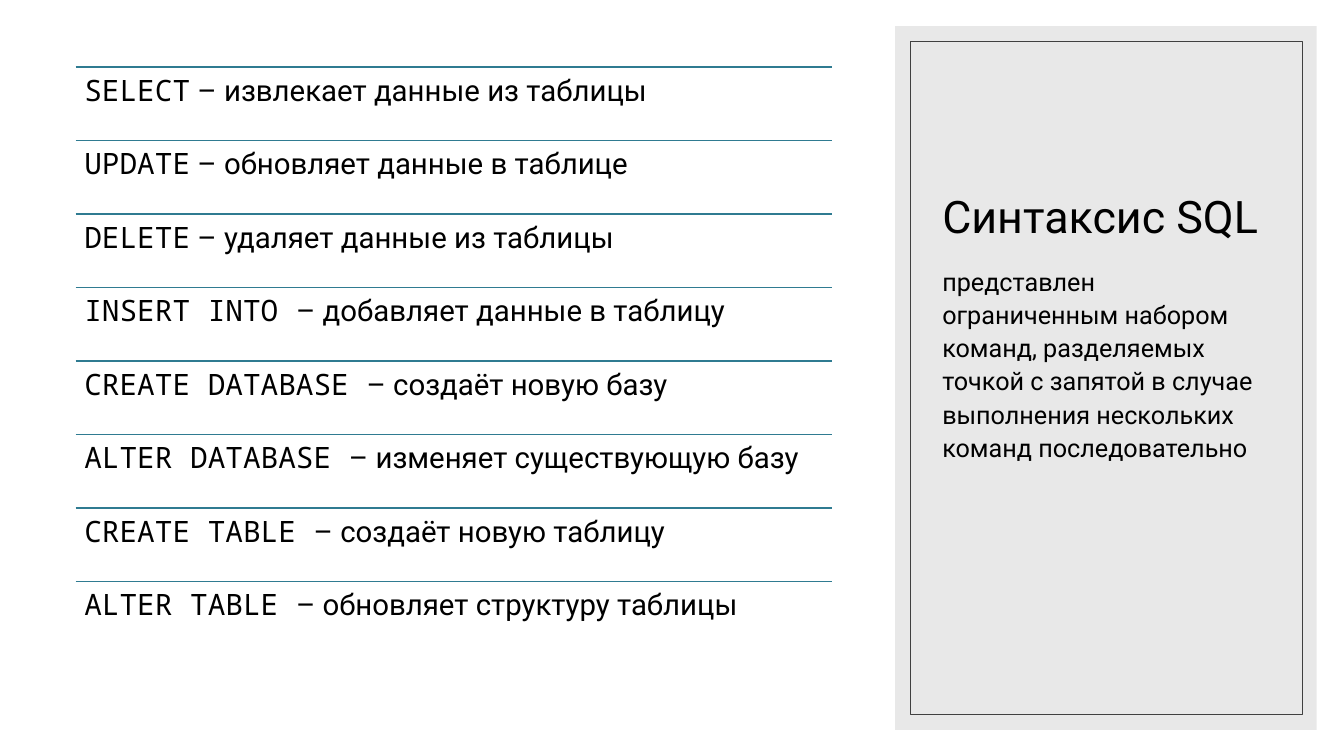
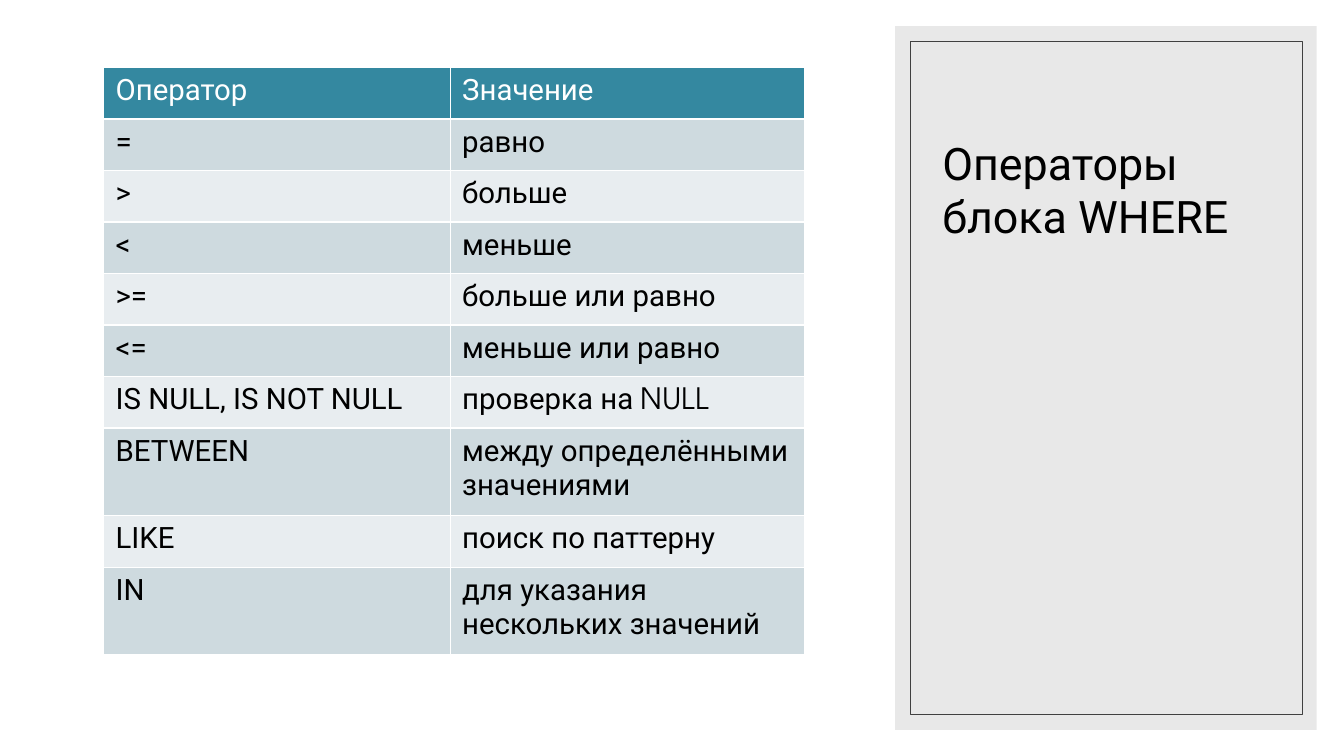
"""Build two slides about SQL: its main commands and the operators of WHERE."""
from lxml import etree
from pptx import Presentation
from pptx.dml.color import RGBColor
from pptx.enum.shapes import MSO_CONNECTOR, MSO_SHAPE
from pptx.enum.text import MSO_ANCHOR
from pptx.oxml.ns import qn
from pptx.util import Pt

RECTANGLE = MSO_SHAPE.RECTANGLE
STRAIGHT = MSO_CONNECTOR.STRAIGHT
TOP, BOTTOM = MSO_ANCHOR.TOP, MSO_ANCHOR.BOTTOM

BLACK = RGBColor(0x00, 0x00, 0x00)
WHITE = RGBColor(0xFF, 0xFF, 0xFF)
PANEL_GREY = RGBColor(0xD9, 0xD9, 0xD9)
FRAME_GREY = RGBColor(0x40, 0x40, 0x40)
RULE_TEAL = RGBColor(0x2F, 0x7B, 0x91)
HEADER_TEAL = RGBColor(0x34, 0x88, 0xA0)
BAND_DARK = RGBColor(0xCE, 0xDA, 0xDF)
BAND_LIGHT = RGBColor(0xE8, 0xED, 0xF0)

SANS = "Roboto"
MONO = "Noto Sans Mono"
GEOMETRIC = "TeX Gyre Adventor"

TITLE_SIZE, BODY_SIZE, CONTENT_SIZE = 32, 18, 21
PANEL_TEXT_LEFT, PANEL_TEXT_WIDTH = 666, 249

TITLES = ["Синтаксис SQL", "Операторы блока WHERE"]
SUBTITLE = (
    "представлен ограниченным набором команд, разделяемых точкой с запятой "
    "в случае выполнения нескольких команд последовательно"
)
COMMANDS = [
    ("SELECT", " – извлекает данные из таблицы"),
    ("UPDATE", " – обновляет данные в таблице"),
    ("DELETE", " – удаляет данные из таблицы"),
    ("INSERT INTO ", "– добавляет данные в таблицу"),
    ("CREATE DATABASE ", "– создаёт новую базу"),
    ("ALTER DATABASE ", "– изменяет существующую базу"),
    ("CREATE TABLE ", "– создаёт новую таблицу"),
    ("ALTER TABLE ", "– обновляет структуру таблицы"),
]
OPERATORS = [
    ("Оператор", [("Значение", SANS)]),
    ("=", [("равно", SANS)]),
    (">", [("больше", SANS)]),
    ("<", [("меньше", SANS)]),
    (">=", [("больше или равно", SANS)]),
    ("<=", [("меньше или равно", SANS)]),
    ("IS NULL, IS NOT NULL", [("проверка на ", SANS), ("NULL", GEOMETRIC)]),
    ("BETWEEN", [("между определёнными значениями", SANS)]),
    ("LIKE", [("поиск по паттерну", SANS)]),
    ("IN", [("для указания нескольких значений", SANS)]),
]
COMMANDS_LEFT, COMMANDS_TOP, COMMANDS_WIDTH, COMMAND_PITCH = 54, 48, 540, 52.5
COLUMN_WIDTHS = [247.5, 253]
ROW_HEIGHT, TALL_ROW_HEIGHT = 36.8, 62.7
TALL_ROWS = {"BETWEEN", "IN"}


def write_runs(text_frame, pieces, size, color=BLACK):
    """Write (text, font name) pieces into the first paragraph and return it."""
    paragraph = text_frame.paragraphs[0]
    for text, font_name in pieces:
        run = paragraph.add_run()
        run.text = text
        run.font.name = font_name
        run.font.size = Pt(size)
        run.font.color.rgb = color
    return paragraph


def add_text(slide, bounds, pieces, size, anchor=TOP):
    """Add a wrapping text box at bounds in points and return its paragraph."""
    text_frame = slide.shapes.add_textbox(*map(Pt, bounds)).text_frame
    text_frame.word_wrap = True
    text_frame.vertical_anchor = anchor
    return write_runs(text_frame, pieces, size)


presentation = Presentation()
presentation.slide_width = Pt(960)
presentation.slide_height = Pt(540)
blank_layout = presentation.slide_layouts[6]

for title in TITLES:
    slide = presentation.slides.add_slide(blank_layout)
    panel = slide.shapes.add_shape(RECTANGLE, Pt(639.4), Pt(18.7), Pt(301), Pt(502.6))
    panel.shadow.inherit = False
    panel.fill.solid()
    panel.fill.fore_color.rgb = PANEL_GREY
    panel.line.fill.background()
    panel_color = panel.fill._xPr.find(qn("a:solidFill"))[0]
    etree.SubElement(panel_color, qn("a:alpha"), val="60000")

    frame = slide.shapes.add_shape(RECTANGLE, Pt(650.2), Pt(29.5), Pt(280), Pt(481))
    frame.shadow.inherit = False
    frame.fill.background()
    frame.line.color.rgb = FRAME_GREY
    frame.line.width = Pt(0.5)

    title_bounds = (PANEL_TEXT_LEFT, 47.5, PANEL_TEXT_WIDTH, 129.6)
    add_text(slide, title_bounds, [(title, SANS)], TITLE_SIZE, BOTTOM)

syntax_slide, operators_slide = presentation.slides

subtitle_bounds = (PANEL_TEXT_LEFT, 184.3, PANEL_TEXT_WIDTH, 283.7)
paragraph = add_text(syntax_slide, subtitle_bounds, [(SUBTITLE, SANS)], BODY_SIZE)
paragraph.line_spacing = 1.1
paragraph.space_before = Pt(8)

for index, (command, meaning) in enumerate(COMMANDS):
    top = COMMANDS_TOP + index * COMMAND_PITCH
    rule = syntax_slide.shapes.add_connector(
        STRAIGHT, Pt(COMMANDS_LEFT), Pt(top), Pt(COMMANDS_LEFT + COMMANDS_WIDTH), Pt(top)
    )
    rule.line.color.rgb = RULE_TEAL
    rule.line.width = Pt(1)
    etree.SubElement(rule._element.spPr, qn("a:effectLst"))

    command_bounds = (COMMANDS_LEFT, top, COMMANDS_WIDTH, COMMAND_PITCH)
    pieces = [(command, MONO), (meaning, SANS)]
    paragraph = add_text(syntax_slide, command_bounds, pieces, CONTENT_SIZE)
    paragraph.line_spacing = 0.9
    text_frame = syntax_slide.shapes[-1].text_frame
    text_frame.margin_left = text_frame.margin_right = Pt(6.3)
    text_frame.margin_top = text_frame.margin_bottom = Pt(6.3)

row_heights = [
    TALL_ROW_HEIGHT if operator in TALL_ROWS else ROW_HEIGHT for operator, _ in OPERATORS
]
table = operators_slide.shapes.add_table(
    len(OPERATORS), len(COLUMN_WIDTHS), Pt(74.2), Pt(48.2),
    Pt(sum(COLUMN_WIDTHS)), Pt(sum(row_heights)),
).table
for column, width in zip(table.columns, COLUMN_WIDTHS):
    column.width = Pt(width)

for row_index, (operator, meaning_pieces) in enumerate(OPERATORS):
    row = table.rows[row_index]
    row.height = Pt(row_heights[row_index])
    if row_index == 0:
        fill_color, text_color = HEADER_TEAL, WHITE
    else:
        fill_color = BAND_DARK if row_index % 2 else BAND_LIGHT
        text_color = BLACK
    for cell, pieces in zip(row.cells, [[(operator, SANS)], meaning_pieces]):
        write_runs(cell.text_frame, pieces, CONTENT_SIZE, text_color)
        cell.margin_left = cell.margin_right = Pt(8.4)
        cell.margin_top = cell.margin_bottom = Pt(4.2)
        cell_properties = cell._tc.get_or_add_tcPr()
        for side in ("a:lnL", "a:lnR", "a:lnT", "a:lnB"):
            border = etree.SubElement(cell_properties, qn(side), w=str(Pt(1)))
            border_fill = etree.SubElement(border, qn("a:solidFill"))
            etree.SubElement(border_fill, qn("a:srgbClr"), val=str(WHITE))
        cell.fill.solid()
        cell.fill.fore_color.rgb = fill_color

presentation.save("out.pptx")
